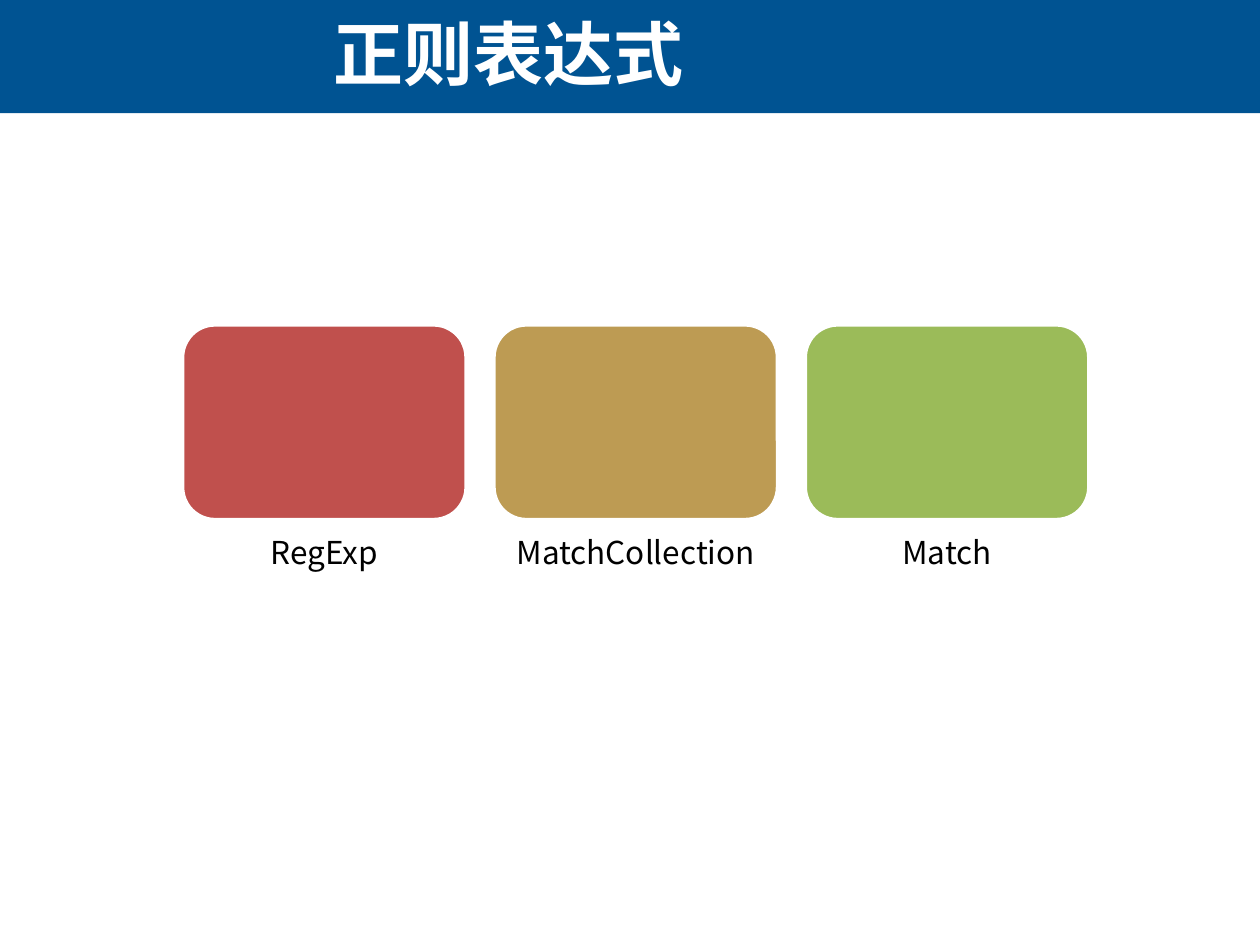
import pptx
import pptx.util
import pptx.dml.color
import pptx.enum.shapes
import pptx.enum.text

Cm = pptx.util.Cm
Pt = pptx.util.Pt
RGB = pptx.dml.color.RGBColor
SHAPE = pptx.enum.shapes.MSO_SHAPE
ANCHOR = pptx.enum.text.MSO_ANCHOR
ALIGN = pptx.enum.text.PP_ALIGN

BLUE = RGB(0x00, 0x53, 0x92)
RED = RGB(0xC0, 0x50, 0x4D)
GOLD = RGB(0xBD, 0x9B, 0x53)
GREEN = RGB(0x9B, 0xBB, 0x59)
WHITE = RGB(0xFF, 0xFF, 0xFF)
BLACK = RGB(0x00, 0x00, 0x00)


def style(para, text, face, size, color, bold=False):
    """Write centred text in one font."""
    para.text = text
    para.alignment = ALIGN.CENTER
    para.font.name = face
    para.font.size = Pt(size)
    para.font.color.rgb = color
    para.font.bold = bold


def inset(frame, left, top, right, bottom):
    """Set the wrapped frame's margins in centimetres."""
    frame.word_wrap = True
    frame.auto_size = pptx.enum.text.MSO_AUTO_SIZE.NONE
    frame.margin_left, frame.margin_top = Cm(left), Cm(top)
    frame.margin_right, frame.margin_bottom = Cm(right), Cm(bottom)


def header(slide, text, left, top, width, height):
    """Place the banner and its title in the given box."""
    title = slide.shapes.title
    band = slide.shapes.add_shape(SHAPE.RECTANGLE, left, top, width, height)
    band.shadow.inherit = False
    band.fill.solid()
    band.fill.fore_color.rgb = BLUE
    band.line.fill.background()
    title.element.addprevious(band.element)
    title.left, title.top = left + Cm(1.78), top + Cm(0.53)
    title.width, title.height = Cm(16.94), Cm(1.07)
    frame = title.text_frame
    inset(frame, 0.25, 0.13, 0.25, 0.13)
    frame.vertical_anchor = ANCHOR.MIDDLE
    style(frame.paragraphs[0], text, "Arial", 40, WHITE, True)


def card(group, text, color, left, top, width, height):
    """Place a rounded tile with its label below in the given box."""
    split = round(height * 0.65)
    tile = group.shapes.add_shape(
        SHAPE.ROUNDED_RECTANGLE, left, top, width, split)
    tile.shadow.inherit = False
    tile.fill.solid()
    tile.fill.fore_color.rgb = color
    tile.line.color.rgb = WHITE
    tile.line.width = Pt(2)
    label = group.shapes.add_textbox(left, top + split, width, height - split)
    frame = label.text_frame
    inset(frame, 0.36, 0.36, 0.36, 0)
    para = frame.paragraphs[0]
    style(para, text, "Noto Sans CJK SC", 18, BLACK)
    para.line_spacing = 0.9
    para.space_after = Pt(6.3)


def cards(slide, items, left, top, width, height):
    """Spread the cards evenly over the given box."""
    group = slide.shapes.add_group_shape()
    gap = Cm(0.56)
    size = (width - gap * (len(items) - 1)) // len(items)
    for i, (text, color) in enumerate(items):
        card(group, text, color, left + i * (size + gap), top, size, height)


def main():
    """Build and save the slide."""
    deck = pptx.Presentation()
    deck.slide_width, deck.slide_height = Cm(25.4), Cm(19.05)
    slide = deck.slides.add_slide(deck.slide_layouts[5])
    header(slide, "正则表达式", 0, 0, deck.slide_width, Cm(2.28))
    items = [("RegExp", RED), ("MatchCollection", GOLD), ("Match", GREEN)]
    cards(slide, items, Cm(3.68), Cm(6.55), Cm(18.27), Cm(6.04))
    deck.save("out.pptx")


main()
